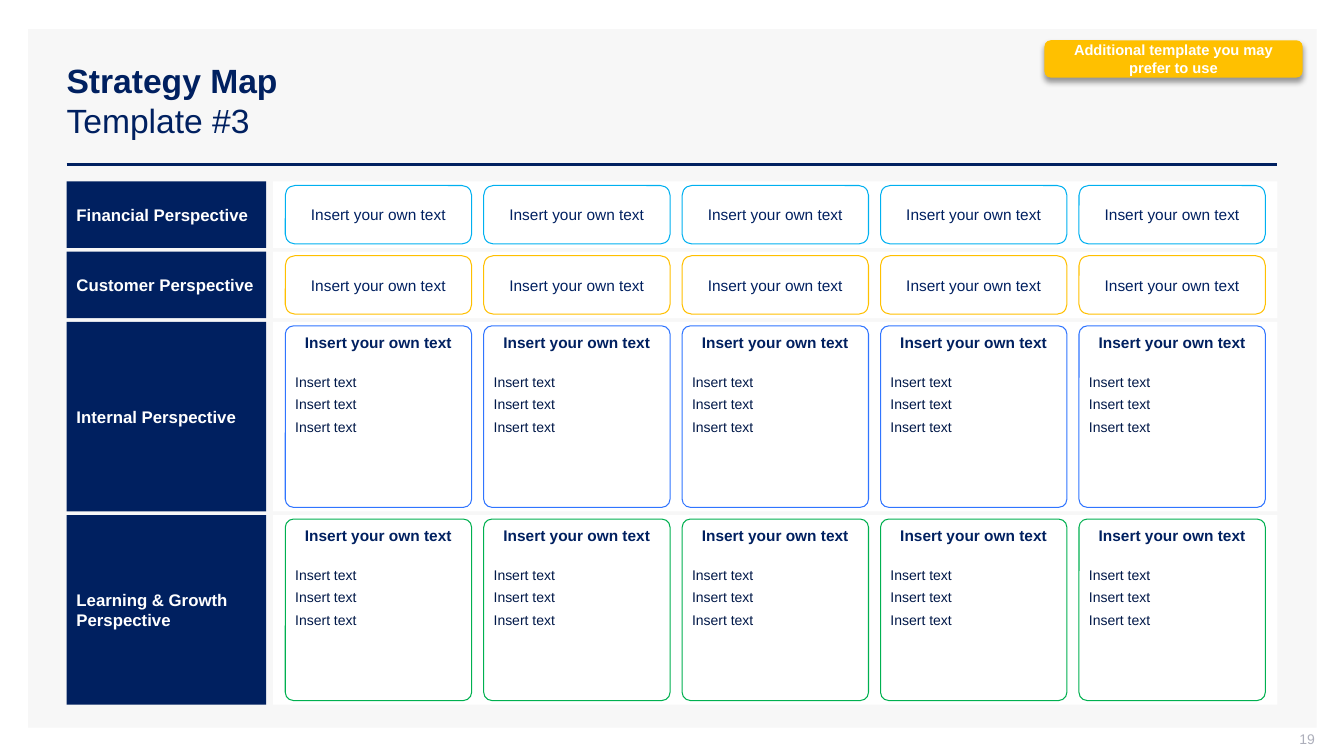
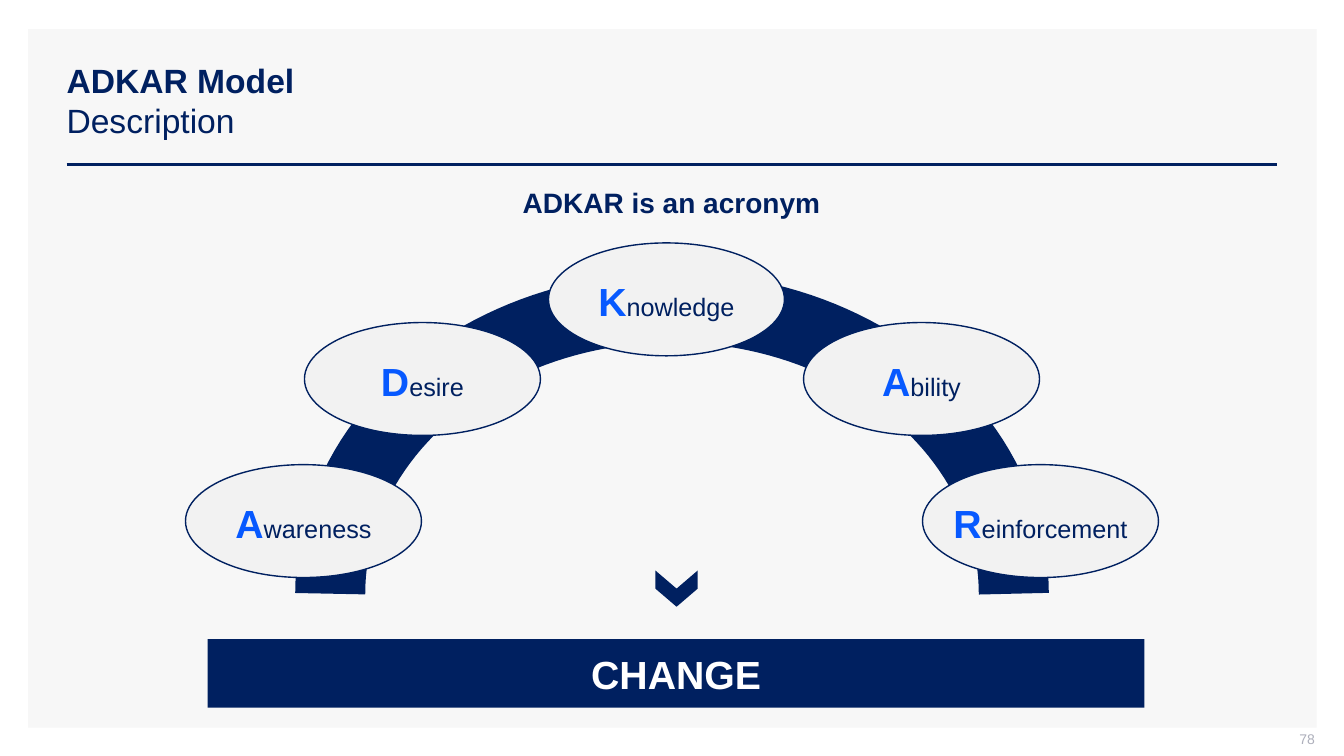
import math

from lxml import etree
from pptx import Presentation
from pptx import util as u
from pptx.dml.color import RGBColor
from pptx.enum import shapes, text
from pptx.oxml.ns import qn

HUE = {
    "navy": "002060", "ink": "001848", "blue": "0759FF", "azure": "3075FF",
    "sky": "00B0F0", "gold": "FFC000", "green": "00B050", "white": "FFFFFF",
    "panel": "F7F7F7", "pale": "F2F2F2", "grey": "ADAFBB", "black": "000000",
}
WIDE, HIGH = 13.33, 7.5
LEFT, SPAN = 0.66, 12.01
KIND = shapes.MSO_SHAPE
MID = text.MSO_ANCHOR.MIDDLE
CENTER, START, END = text.PP_ALIGN.CENTER, text.PP_ALIGN.LEFT, text.PP_ALIGN.RIGHT
ROWS = [
    ("Financial Perspective", 0.66, "sky"),
    ("Customer Perspective", 0.66, "gold"),
    ("Internal Perspective", 1.88, "azure"),
    ("Learning & Growth Perspective", 1.88, "green"),
]
STEPS = [
    ("Awareness", 0, 2.86), ("Desire", 1.18, 1.45), ("Knowledge", 3.6, 0.66),
    ("Ability", 6.13, 1.45), ("Reinforcement", 7.31, 2.86),
]


def rgb(name):
    return RGBColor.from_string(HUE[name])


def place(box):
    return [u.Inches(v) for v in box]


def style(run, size, hue, bold=False):
    font = run.font
    font.name, font.size, font.bold = "Arial", u.Pt(size), bold
    font.color.rgb = rgb(hue)


def write(shape, words, size, hue, bold=False, align=CENTER, anchor=MID, gap=0):
    """Fill a shape with one paragraph per line of words."""
    frame = shape.text_frame
    frame.text = words
    frame.word_wrap, frame.vertical_anchor = True, anchor
    for para in frame.paragraphs:
        para.alignment = align
        para.space_before = para.space_after = u.Pt(gap)
        for run in para.runs:
            style(run, size, hue, bold)
    return frame


def draw(slide, kind, box, fill, line=None, width=0.75):
    shape = slide.shapes.add_shape(kind, *place(box))
    shape.shadow.inherit = False
    shape.fill.solid()
    shape.fill.fore_color.rgb = rgb(fill)
    if line:
        shape.line.color.rgb = rgb(line)
        shape.line.width = u.Pt(width)
    else:
        shape.line.fill.background()
    return shape


def label(slide, box, words, size, hue, **look):
    return write(slide.shapes.add_textbox(*place(box)), words, size, hue, **look)


def frame_layout(deck, layout):
    """Give the layout its panel, rule and title box."""
    for holder in list(layout.placeholders):
        if holder.placeholder_format.type != shapes.PP_PLACEHOLDER.TITLE:
            holder.element.getparent().remove(holder.element)
    title = layout.placeholders[0]
    title.left, title.top, title.width, title.height = place((0.56, 0.4, 12.11, 1.19))
    slide = deck.slides.add_slide(layout)
    panel = draw(slide, KIND.RECTANGLE, (0.28, 0.29, 12.78, 6.93), "panel")
    rule = slide.shapes.add_connector(
        shapes.MSO_CONNECTOR.STRAIGHT, *place((LEFT, 1.63, LEFT + SPAN, 1.63)))
    rule.line.color.rgb = rgb("navy")
    rule.line.width = u.Pt(2)
    etree.SubElement(rule.element.spPr, qn("a:effectLst"))
    for spot, part in enumerate((panel, rule), 2):
        layout.shapes.element.insert(spot, part.element)
    return slide


def head(slide, name, sub, page):
    frame = write(slide.shapes.title, f"{name}\v{sub}", 24, "navy", align=START)
    frame.auto_size = text.MSO_AUTO_SIZE.NONE
    frame.paragraphs[0].runs[0].font.bold = True
    foot = label(slide, (10.04, 7.25, 3, 0.21), page, 10, "grey", align=END)
    foot.margin_top = foot.margin_right = 0
    foot.margin_bottom = u.Inches(0.05)


def card(slide, box, hue):
    """Draw a short card with one line, or a tall one with a heading and list."""
    x, y, w, h = box
    tall = h > 1
    shape = draw(slide, KIND.ROUNDED_RECTANGLE, box, "white", hue)
    anchor = text.MSO_ANCHOR.TOP if tall else MID
    write(shape, "Insert your own text", 11, "navy", tall, anchor=anchor)
    if tall:
        shape.adjustments[0] = 0.045
        label(slide, (x, y + 0.42, w, 0.72), "\n".join(["Insert text"] * 3), 10, "ink",
              align=START, anchor=anchor, gap=2)


def grid(slide, box, cols=5, side=1.98, gutter=0.07, pad=0.12, inset=0.04):
    """Stack the perspectives, each a label and a band of cards."""
    x, y, w, h = box
    gap = (h - sum(row[1] for row in ROWS)) / (len(ROWS) - 1)
    left, band = x + side + gutter, w - side - gutter
    wide = (band - pad * (cols + 1)) / cols
    for name, high, hue in ROWS:
        tag = draw(slide, KIND.RECTANGLE, (x, y, side, high), "navy")
        write(tag, name, 12, "white", True, START)
        draw(slide, KIND.RECTANGLE, (left, y, band, high), "white")
        for col in range(cols):
            at = left + pad + col * (wide + pad)
            card(slide, (at, y + inset, wide, high - 2 * inset), hue)
        y += high + gap


def badge(slide, box, words):
    shape = draw(slide, KIND.ROUNDED_RECTANGLE, box, "gold")
    write(shape, words, 10.5, "white", True)
    glow = etree.SubElement(
        shape.element.spPr.find(qn("a:effectLst")), qn("a:outerShdw"),
        blurRad=str(u.Pt(4)), dist=str(u.Pt(3)), dir="5400000", rotWithShape="0")
    tint = etree.SubElement(glow, qn("a:srgbClr"), val=HUE["black"])
    etree.SubElement(tint, qn("a:alpha"), val="40000")


def arch(slide, mid, base, rx, ry, count=90):
    """Draw half an ellipse as a thick open line."""
    turns = [math.pi * (1 - i / count) for i in range(count + 1)]
    dots = [(u.Inches(mid + rx * math.cos(t)), u.Inches(base - ry * math.sin(t)))
            for t in turns]
    pen = slide.shapes.build_freeform(*dots[0])
    pen.add_line_segments(dots[1:], close=False)
    curve = pen.convert_to_shape()
    curve.shadow.inherit = False
    curve.fill.background()
    curve.line.color.rgb = rgb("navy")
    curve.line.width = u.Pt(50)


def bubble(slide, box, word):
    shape = draw(slide, KIND.OVAL, box, "pale", "navy", 1)
    frame = write(shape, word[0], 28, "blue", True)
    frame.word_wrap = False
    frame.margin_left = frame.margin_right = 0
    frame.margin_top = frame.margin_bottom = u.Inches(0.02)
    para = frame.paragraphs[0]
    para.line_spacing = 1.06
    rest = para.add_run()
    rest.text = word[1:]
    style(rest, 18, "navy")


def model(slide, box):
    """Draw the arch of five steps that leads to change."""
    x, y, w, h = box
    label(slide, (x + 2.03, y, 5.58, 0.51), "ADKAR is an acronym", 20, "navy", bold=True)
    arch(slide, x + w / 2, y + 4.14, 3.39, 2.84)
    arrow = draw(slide, KIND.CHEVRON, (x + 4.69, y + 3.88, 0.36, 0.42), "navy")
    arrow.rotation = 90
    for word, dx, dy in STEPS:
        bubble(slide, (x + dx, y + dy, 2.34, 1.12), word)
    bar = draw(slide, KIND.RECTANGLE, (x + 0.22, y + h - 0.68, 9.29, 0.68), "navy")
    write(bar, "CHANGE", 28, "white", True)


def main():
    deck = Presentation()
    deck.slide_width, deck.slide_height = place((WIDE, HIGH))
    layout = deck.slide_layouts[5]
    first = frame_layout(deck, layout)
    head(first, "Strategy Map", "Template #3", "19")
    grid(first, (LEFT, 1.8, SPAN, 5.19))
    badge(first, (10.36, 0.4, 2.56, 0.37), "Additional template you may prefer to use")
    second = deck.slides.add_slide(layout)
    head(second, "ADKAR Model", "Description", "78")
    model(second, (1.84, 1.75, 9.65, 5.27))
    deck.save("out.pptx")


if __name__ == "__main__":
    main()
